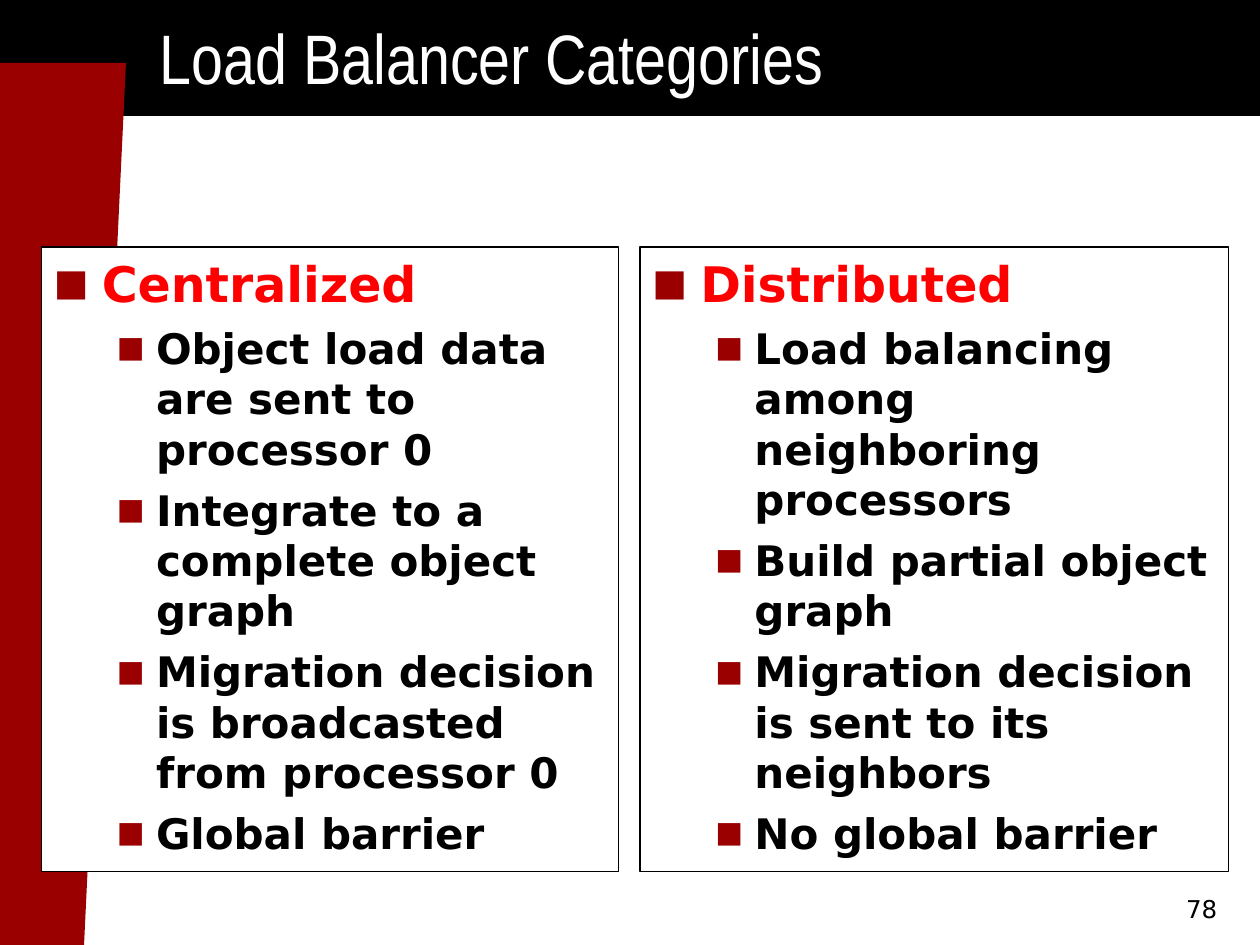
from lxml.etree import SubElement
from pptx import Presentation
from pptx.dml.color import RGBColor
from pptx.enum.shapes import MSO_SHAPE
from pptx.enum.text import MSO_ANCHOR, PP_ALIGN
from pptx.oxml.ns import qn
from pptx.util import Inches, Pt

COLORS = {
    "black": "000000",
    "white": "FFFFFF",
    "dark_red": "9A0000",
    "red": "FF0000",
}
TITLE_FONT = "Arial Narrow"
BODY_FONT = "DejaVu Sans"

# Paragraph formats of the two outline levels
HEADING = dict(size=28, color="red", bold=True, indent=0.38, hanging=0.38, bullet_size=75)
POINT = dict(size=24, bold=True, level=1, indent=0.81, hanging=0.31,
             bullet_size=70, space_before=6)

CATEGORIES = [
    (0.33, 4.58, "Centralized", [
        "Object load data are sent to processor 0",
        "Integrate to a complete object graph",
        "Migration decision is broadcasted from processor 0",
        "Global barrier",
    ]),
    (5.08, 4.67, "Distributed", [
        "Load balancing among neighboring processors",
        "Build partial object graph",
        "Migration decision is sent to its neighbors",
        "No global barrier",
    ]),
]


def rgb(name):
    return RGBColor.from_string(COLORS[name])


def add_bullet(paragraph, indent, hanging, size):
    properties = paragraph._p.get_or_add_pPr()
    properties.set("marL", str(Inches(indent)))
    properties.set("indent", str(-Inches(hanging)))
    color = SubElement(properties, qn("a:buClr"))
    SubElement(color, qn("a:srgbClr"), val=COLORS["dark_red"])
    SubElement(properties, qn("a:buSzPct"), val=str(size * 1000))
    SubElement(properties, qn("a:buFont"), typeface=BODY_FONT)
    SubElement(properties, qn("a:buChar"), char="■")


def write(paragraph, text, size=24, font=BODY_FONT, color="black", bold=False,
          align=PP_ALIGN.LEFT, level=0, space_before=0, indent=0, hanging=0,
          bullet_size=None):
    if bullet_size:
        add_bullet(paragraph, indent, hanging, bullet_size)
    paragraph.level = level
    paragraph.alignment = align
    paragraph.space_before = Pt(space_before)
    run = paragraph.add_run()
    run.text = text
    run.font.size = Pt(size)
    run.font.name = font
    run.font.bold = bold
    run.font.color.rgb = rgb(color)


class SlideBuilder:
    """Holds the style and the current slide."""

    def __init__(self, slide):
        self.slide = slide

    def shape(self, kind, left, top, width, height, fill, line=None):
        shape = self.slide.shapes.add_shape(
            kind, Inches(left), Inches(top), Inches(width), Inches(height))
        shape.shadow.inherit = False
        shape.fill.solid()
        shape.fill.fore_color.rgb = rgb(fill)
        if line:
            shape.line.color.rgb = rgb(line)
            shape.line.width = Pt(0.75)
        else:
            shape.line.fill.background()
        return shape

    def label(self, left, top, width, height, text, **text_format):
        box = self.slide.shapes.add_textbox(
            Inches(left), Inches(top), Inches(width), Inches(height))
        frame = box.text_frame
        frame.word_wrap = True
        frame.vertical_anchor = MSO_ANCHOR.BOTTOM
        write(frame.paragraphs[0], text, **text_format)

    def panel(self, left, width, heading, points):
        panel = self.shape(MSO_SHAPE.RECTANGLE, left, 1.96, width, 4.96,
                           "white", line="black")
        frame = panel.text_frame
        frame.word_wrap = True
        frame.vertical_anchor = MSO_ANCHOR.TOP
        write(frame.paragraphs[0], heading, **HEADING)
        for point in points:
            write(frame.add_paragraph(), point, **POINT)


def main():
    presentation = Presentation()
    presentation.slide_width = Inches(10)
    presentation.slide_height = Inches(7.5)
    builder = SlideBuilder(presentation.slides.add_slide(presentation.slide_layouts[6]))

    # Title band and slanted side bar
    builder.shape(MSO_SHAPE.RECTANGLE, 0, 0, 10.5, 0.92, "black")
    side_bar = builder.shape(MSO_SHAPE.PARALLELOGRAM, -0.33, 0.5, 1.33, 7, "dark_red")
    side_bar.adjustments[0] = 0.25
    builder.label(1.17, 0.06, 8.76, 0.77, "Load Balancer Categories",
                  size=40, font=TITLE_FONT, color="white")

    # One panel per category
    for category in CATEGORIES:
        builder.panel(*category)

    # Page number
    builder.label(7.68, 6.88, 2.08, 0.5, "78", size=14, align=PP_ALIGN.RIGHT)

    presentation.save("out.pptx")


if __name__ == "__main__":
    main()
